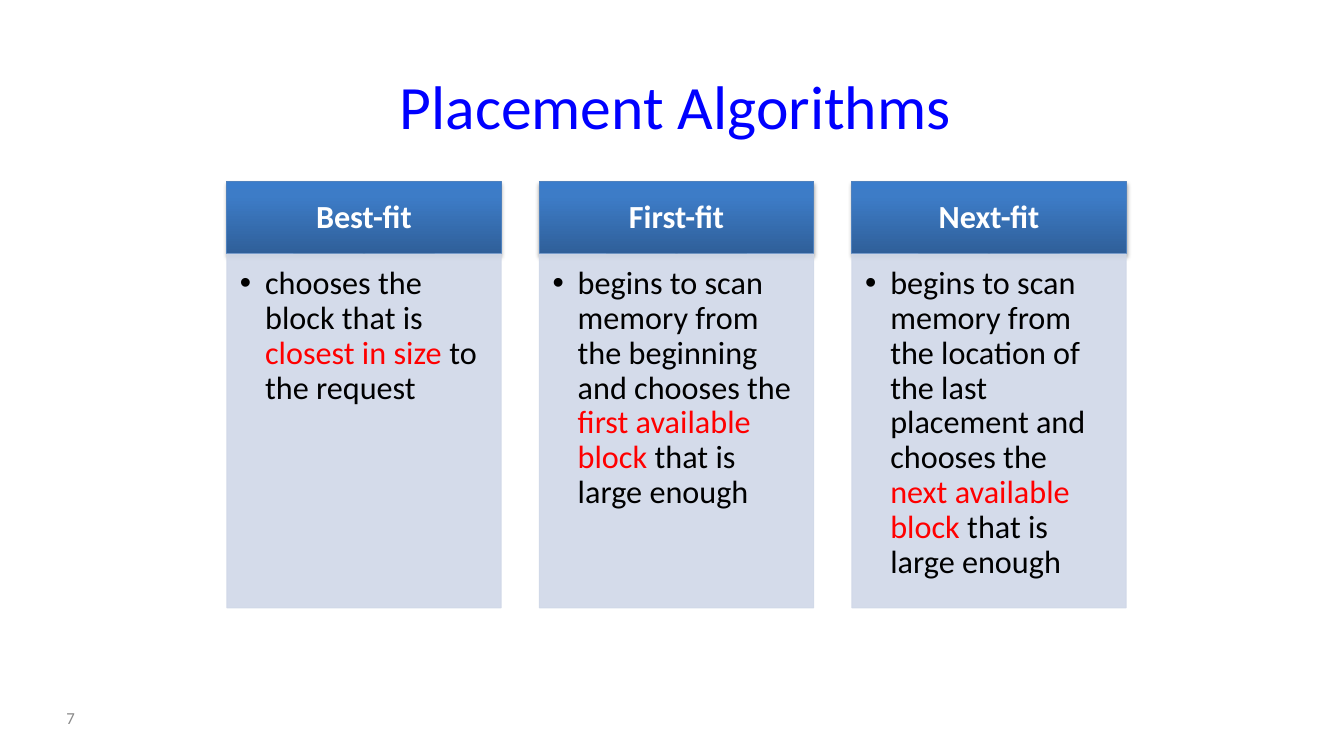
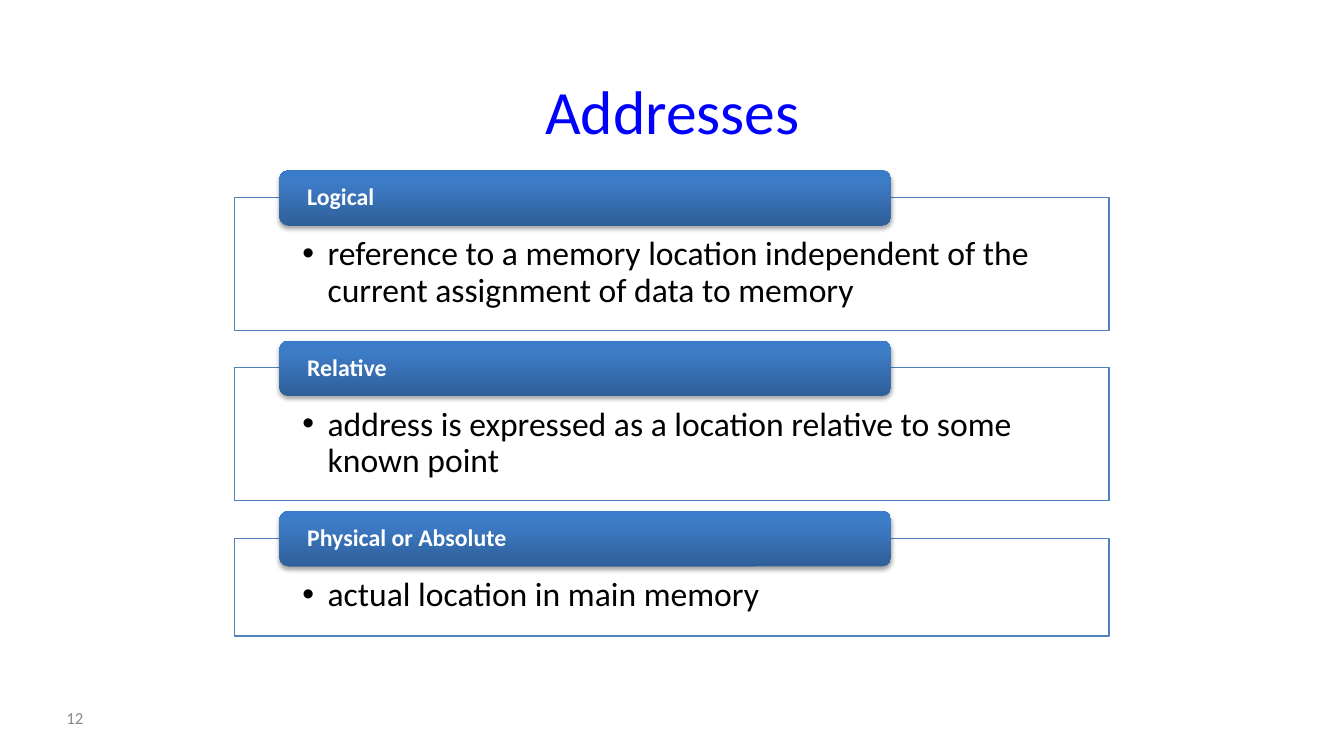
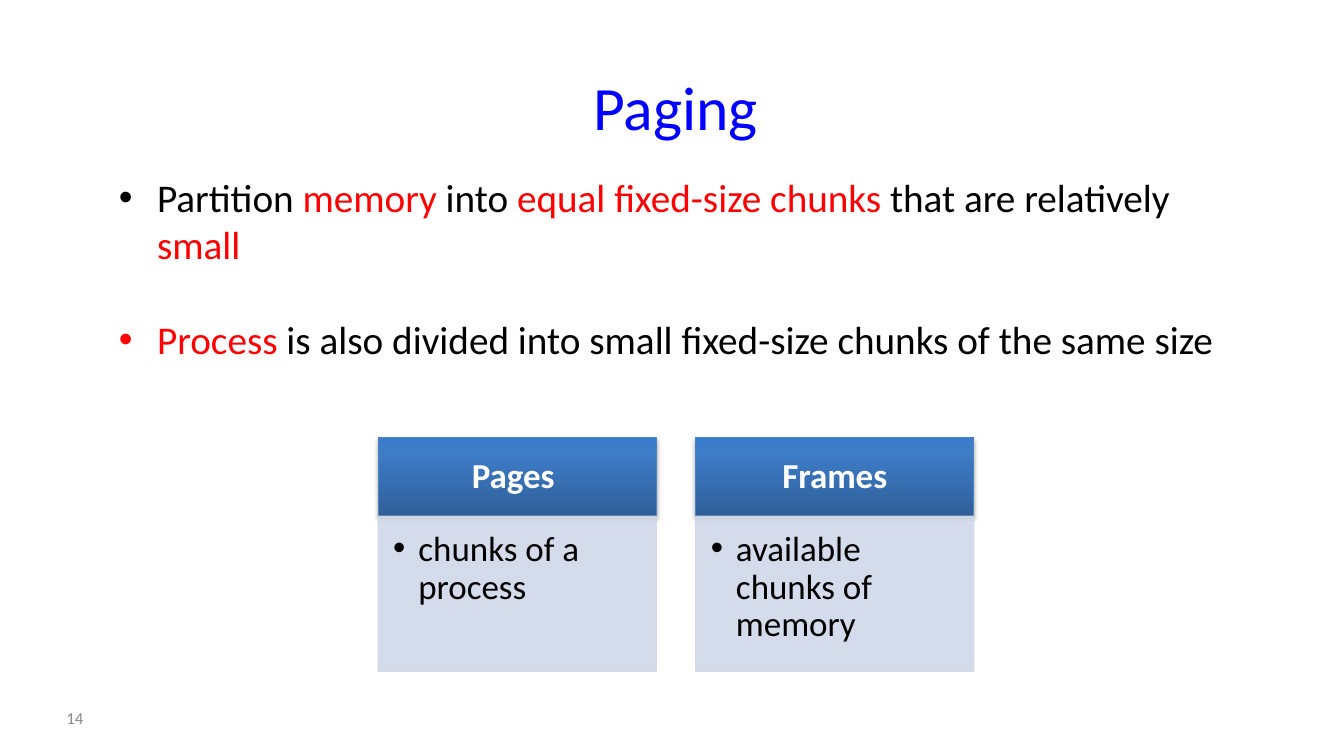
from lxml.etree import SubElement
from pptx import Presentation
from pptx.dml.color import RGBColor
from pptx.enum.shapes import MSO_SHAPE
from pptx.enum.text import MSO_ANCHOR, PP_ALIGN
from pptx.oxml.ns import qn
from pptx.util import Inches, Pt

FONT = "Calibri"
TITLE_BLUE = RGBColor(0x00, 0x00, 0xFF)
LINE_BLUE = RGBColor(0x4F, 0x81, 0xBD)
PALE_BLUE = RGBColor(0xD0, 0xD8, 0xE8)
RED = RGBColor(0xFF, 0x00, 0x00)
BLACK = RGBColor(0x00, 0x00, 0x00)
WHITE = RGBColor(0xFF, 0xFF, 0xFF)
GREY = RGBColor(0x89, 0x89, 0x89)
GRADIENT = [(0, RGBColor(0x2F, 0x5F, 0x99)),
            (80, RGBColor(0x3D, 0x7C, 0xC7)),
            (100, RGBColor(0x3A, 0x7C, 0xCB))]


# Text
def set_frame(tf, insets=(0.1, 0.05, 0.1, 0.05), anchor=MSO_ANCHOR.TOP):
    tf.word_wrap = True
    tf.vertical_anchor = anchor
    tf.margin_left, tf.margin_top, tf.margin_right, tf.margin_bottom = map(Inches, insets)


def write(p, text, size, color, bold=False, align=PP_ALIGN.LEFT, spacing=None):
    """Fill a paragraph; parts between asterisks are red."""
    p.alignment = align
    p.line_spacing = spacing
    for i, part in enumerate(text.split("*")):
        if part:
            r = p.add_run()
            r.text = part
            r.font.name = FONT
            r.font.size = Pt(size)
            r.font.bold = bold
            r.font.color.rgb = RED if i % 2 else color


def add_bullet(p, indent):
    pPr = p._p.get_or_add_pPr()
    pPr.set("marL", str(Inches(indent)))
    pPr.set("indent", str(-Inches(indent)))
    SubElement(pPr, qn("a:buFont"), typeface="Arial")
    SubElement(pPr, qn("a:buChar"), char="•")


# Shapes
def add_box(s, kind, at):
    sp = s.shapes.add_shape(kind, *map(Inches, at))
    sp.shadow.inherit = False
    return sp


def add_header(s, kind, at, text, size, align, outlined):
    """Add a heading bar with the blue gradient and a soft shadow."""
    sp = add_box(s, kind, at)
    sp.fill.gradient()
    sp.fill.gradient_angle = 90
    gs_list = sp._element.spPr.find(qn("a:gradFill")).find(qn("a:gsLst"))
    for gs in list(gs_list):
        gs_list.remove(gs)
    for pos, color in GRADIENT:
        gs = SubElement(gs_list, qn("a:gs"), pos=str(pos * 1000))
        SubElement(gs, qn("a:srgbClr"), val=str(color))
    if outlined:
        sp.line.color.rgb = LINE_BLUE
        sp.line.width = Pt(0.75)
    else:
        sp.line.fill.background()
    shadow = SubElement(sp._element.spPr.find(qn("a:effectLst")), qn("a:outerShdw"),
                        blurRad=str(Pt(3.1)), dist=str(Pt(1.8)), dir="5400000",
                        rotWithShape="0")
    black = SubElement(shadow, qn("a:srgbClr"), val=str(BLACK))
    SubElement(black, qn("a:alpha"), val="35000")
    set_frame(sp.text_frame, (0.25, 0, 0.25, 0), MSO_ANCHOR.MIDDLE)
    write(sp.text_frame.paragraphs[0], text, size, WHITE, True, align, 0.9)


def add_body(s, at, text, size, fill, line, insets, opacity=100):
    """Add a panel holding one bulleted paragraph."""
    sp = add_box(s, MSO_SHAPE.RECTANGLE, at)
    sp.fill.solid()
    sp.fill.fore_color.rgb = fill
    sp.line.color.rgb = line
    sp.line.width = Pt(0.75)
    if opacity < 100:
        for color in sp._element.spPr.iter(qn("a:srgbClr")):
            SubElement(color, qn("a:alpha"), val=str(opacity * 1000))
    set_frame(sp.text_frame, insets)
    p = sp.text_frame.paragraphs[0]
    add_bullet(p, 0.25)
    write(p, text, size, BLACK, spacing=0.9)


def add_columns(s, columns, left, top, width, pitch, head_h, body_h, size, pad):
    for i, (head, body) in enumerate(columns):
        x = left + i * pitch
        add_header(s, MSO_SHAPE.RECTANGLE, (x, top, width, head_h), head, size,
                   PP_ALIGN.CENTER, True)
        add_body(s, (x, top + head_h, width, body_h), body, size, PALE_BLUE, PALE_BLUE,
                 (pad, pad, 0.18, 0.2), 90)


# Slides
def add_slide(prs, title, title_at, number):
    s = prs.slides.add_slide(prs.slide_layouts[5])
    sp = s.shapes.title
    sp.left, sp.top, sp.width, sp.height = map(Inches, title_at)
    set_frame(sp.text_frame, anchor=MSO_ANCHOR.MIDDLE)
    write(sp.text_frame.paragraphs[0], title, 44, TITLE_BLUE, align=PP_ALIGN.CENTER)

    tf = s.shapes.add_textbox(*map(Inches, (0.56, 6.92, 1.44, 0.4))).text_frame
    set_frame(tf, anchor=MSO_ANCHOR.MIDDLE)
    write(tf.paragraphs[0], number, 12, GREY)
    return s


def add_placement_slide(prs):
    s = add_slide(prs, "Placement Algorithms", (2.42, 0.42, 8.56, 1.25), "7")
    columns = [
        ("Best-fit", "chooses the block that is *closest in size *to the request"),
        ("First-fit", "begins to scan memory from the beginning and chooses the "
                      "*first available block* that is large enough"),
        ("Next-fit", "begins to scan memory from the location of the last placement "
                     "and chooses the *next available block* that is large enough"),
    ]
    add_columns(s, columns, 2.25, 1.8, 2.72, 3.1, 0.72, 3.51, 23, 0.13)


def add_addresses_slide(prs):
    s = add_slide(prs, "Addresses", (2.39, 0.5, 8.56, 1.17), "12")
    kinds = [
        ("Logical", "reference to a memory location independent of the current "
                    "assignment of data to memory", 1.32),
        ("Relative", "address is expressed as a location relative to some known point",
         1.32),
        ("Physical or Absolute", "actual location in main memory", 0.97),
    ]
    for i, (head, body, height) in enumerate(kinds):
        top = 1.69 + i * 1.69
        add_body(s, (2.33, top + 0.27, 8.67, height), body, 24, WHITE, LINE_BLUE,
                 (0.67, 0.39, 0.67, 0.19))
        add_header(s, MSO_SHAPE.ROUNDED_RECTANGLE, (2.77, top, 6.07, 0.55), head, 17,
                   PP_ALIGN.LEFT, False)


def add_paging_slide(prs):
    s = add_slide(prs, "Paging", (2.42, 0.33, 8.56, 1.45), "14")
    tf = s.shapes.add_textbox(*map(Inches, (1.08, 1.67, 11.25, 2.4))).text_frame
    set_frame(tf)
    first, second = tf.paragraphs[0], tf.add_paragraph()
    second.space_before = Pt(34)
    for p, text in (
        (first, "Partition *memory* into *equal fixed-size chunks* that are "
                "relatively *small*"),
        (second, "*Process* is also divided into small fixed-size chunks of the same size"),
    ):
        add_bullet(p, 0.38)
        write(p, text, 28, BLACK)

    columns = [("Pages ", "chunks of a process"),
               ("Frames", "available chunks of memory")]
    add_columns(s, columns, 3.75, 4.34, 2.76, 3.15, 0.78, 1.54, 25, 0.15)


def main():
    prs = Presentation()
    prs.slide_width, prs.slide_height = Inches(13.33), Inches(7.5)
    add_placement_slide(prs)
    add_addresses_slide(prs)
    add_paging_slide(prs)
    prs.save("out.pptx")


if __name__ == "__main__":
    main()
